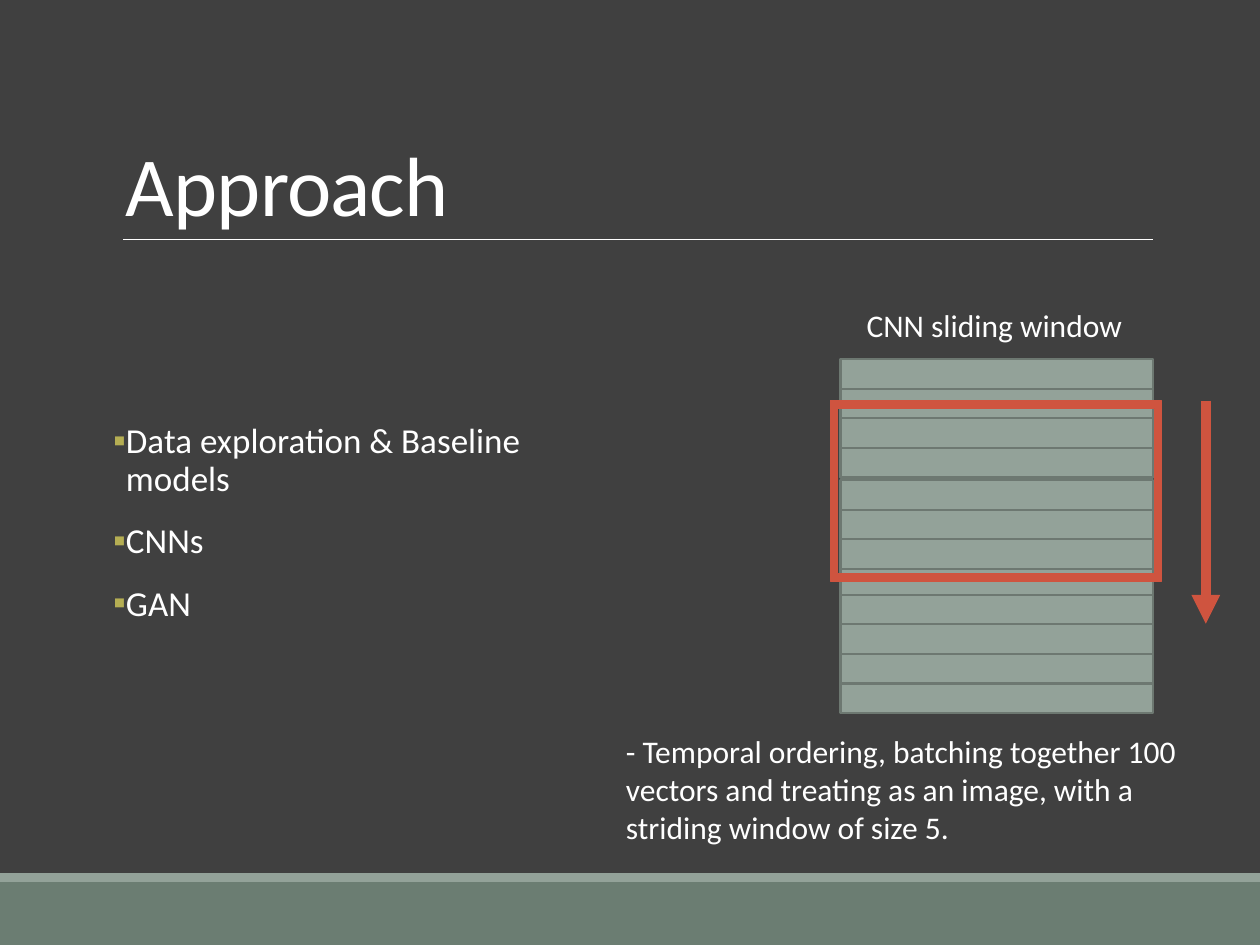
"""Build the Approach slide with its CNN sliding window diagram."""
from dataclasses import dataclass

import pptx
import pptx.dml.color
import pptx.enum.shapes
import pptx.enum.text
import pptx.oxml
import pptx.oxml.ns
import pptx.util
from pptx.util import Inches

SHAPE = pptx.enum.shapes.MSO_SHAPE
ANCHOR = pptx.enum.text.MSO_ANCHOR


@dataclass(frozen=True)
class Theme:
    font: str = "Calibri"
    background: str = "404040"
    text: str = "FFFFFF"
    footer: str = "6B7D72"
    sage: str = "93A299"
    row_edge: str = "6D7871"
    accent: str = "CF543F"
    bullet: str = "B5AE53"
    title_size: int = 48
    body_size: int = 20
    note_size: int = 18


THEME = Theme()


def rgb(value):
    return pptx.dml.color.RGBColor.from_string(value)


def add_xml(parent, xml):
    namespace = pptx.oxml.ns.nsdecls("a")
    element = pptx.oxml.parse_xml(xml.replace("/>", f" {namespace}/>", 1)
                                  if xml.endswith("/>") and xml.count("<") == 1
                                  else xml.replace(">", f" {namespace}>", 1))
    parent.append(element)


def add_block(slide, kind, box, fill, edge=None, edge_width=1.25):
    block = slide.shapes.add_shape(kind, *map(Inches, box))
    block.shadow.inherit = False
    block.fill.solid()
    block.fill.fore_color.rgb = rgb(fill)
    if edge:
        block.line.color.rgb = rgb(edge)
        block.line.width = pptx.util.Pt(edge_width)
    else:
        block.line.fill.background()
    return block


def add_line(slide, start, end, color, width, arrow=False):
    line = slide.shapes.add_connector(
        pptx.enum.shapes.MSO_CONNECTOR.STRAIGHT, *map(Inches, start + end))
    line.line.color.rgb = rgb(color)
    line.line.width = pptx.util.Pt(width)
    if arrow:
        add_xml(line.line._get_or_add_ln(), '<a:tailEnd type="triangle"/>')
    add_xml(line._element.spPr, "<a:effectLst/>")


def add_text(slide, box, lines, size, anchor=ANCHOR.TOP):
    holder = slide.shapes.add_textbox(*map(Inches, box))
    frame = holder.text_frame
    frame.word_wrap = True
    frame.vertical_anchor = anchor
    frame.text = "\n".join(lines)
    for paragraph in frame.paragraphs:
        for run in paragraph.runs:
            run.font.name = THEME.font
            run.font.size = pptx.util.Pt(size)
            run.font.color.rgb = rgb(THEME.text)
    return frame


def add_title(slide, title):
    frame = add_text(slide, (0.9, 0.31, 8.25, 1.59), [title],
                     THEME.title_size, ANCHOR.BOTTOM)
    heading = frame.paragraphs[0]
    heading.line_spacing = 0.85
    heading.runs[0].font._element.set("spc", "-50")
    add_line(slide, (0.98, 1.9), (9.15, 1.9), THEME.text, 0.5)


def add_bullets(slide, topics):
    frame = add_text(slide, (0.9, 2.09, 3.97, 4.4), topics, THEME.body_size)
    frame.margin_left = frame.margin_right = 0
    frame.margin_top = Inches(1.27)
    for index, paragraph in enumerate(frame.paragraphs):
        paragraph.line_spacing = 0.9
        paragraph.space_before = pptx.util.Pt(12 if index else 0)
        paragraph.space_after = pptx.util.Pt(2)
        properties = paragraph._element.get_or_add_pPr()
        properties.set("marL", str(Inches(0.1)))
        properties.set("indent", str(-Inches(0.1)))
        add_xml(properties,
                f'<a:buClr><a:srgbClr val="{THEME.bullet}"/></a:buClr>')
        add_xml(properties, '<a:buFont typeface="Wingdings 2"/>'.replace(
            "Wingdings 2", THEME.font))
        add_xml(properties, '<a:buChar char="▪"/>')


def add_sliding_window(slide):
    rows_per_group, group_height = 4, 0.94
    row_height = group_height / rows_per_group
    for group_top in (2.85, 3.81, 4.72):
        for row in range(rows_per_group):
            add_block(slide, SHAPE.RECTANGLE,
                      (6.67, group_top + row * row_height, 2.48, row_height),
                      THEME.sage, THEME.row_edge)
    window = add_block(slide, SHAPE.FRAME, (6.59, 3.18, 2.63, 1.43),
                       THEME.accent, THEME.accent, 0.25)
    window.adjustments[0] = 0.04
    add_line(slide, (9.57, 3.18), (9.57, 4.95), THEME.accent, 5.5, arrow=True)


def main():
    deck = pptx.Presentation()
    deck.slide_width, deck.slide_height = Inches(10), Inches(7.5)
    slide = deck.slides.add_slide(deck.slide_layouts[6])
    slide.background.fill.solid()
    slide.background.fill.fore_color.rgb = rgb(THEME.background)
    add_block(slide, SHAPE.RECTANGLE, (0, 7, 10, 0.5), THEME.footer)
    add_block(slide, SHAPE.RECTANGLE, (0, 6.93, 10, 0.07), THEME.sage)
    add_title(slide, "Approach")
    add_bullets(slide, ["Data exploration & Baseline models", "CNNs", "GAN"])
    add_sliding_window(slide)
    add_text(slide, (6.78, 2.38, 2.45, 0.4), ["CNN sliding window"],
             THEME.note_size)
    add_text(slide, (4.87, 5.76, 5, 1.01),
             ["- Temporal ordering, batching together 100 vectors and treating "
              "as an image, with a striding window of size 5."],
             THEME.note_size)
    deck.save("out.pptx")


if __name__ == "__main__":
    main()
